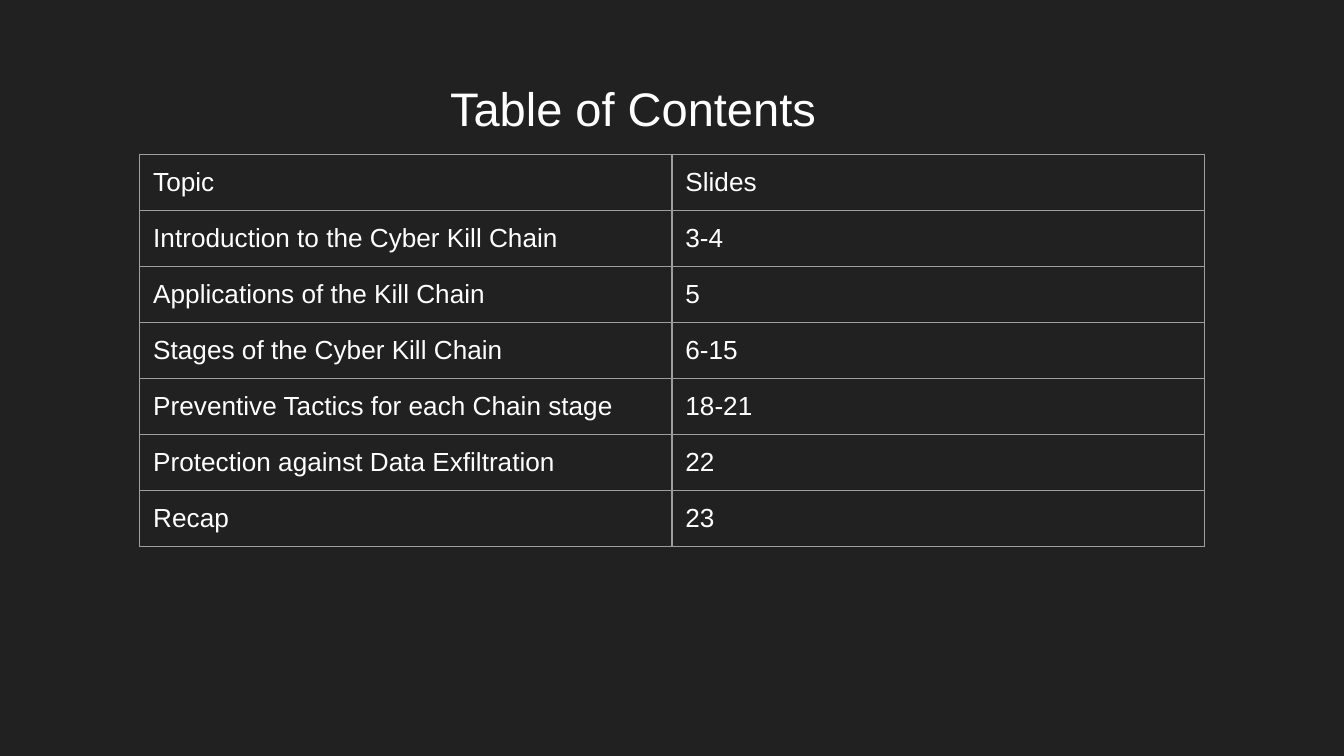
from lxml.etree import SubElement
from pptx import Presentation
from pptx.dml.color import RGBColor
from pptx.enum.text import MSO_ANCHOR
from pptx.oxml.ns import qn
from pptx.util import Inches, Pt

WIDTH = 10
HEIGHT = WIDTH * 9 / 16
MARGIN = Inches(0.1)
BACKGROUND, TEXT, BORDER = "212121", "FFFFFF", "9E9E9E"
COLUMN_WIDTH, ROW_HEIGHT = 3.96, 0.38
CONTENTS = [
    ("Topic", "Slides"),
    ("Introduction to the Cyber Kill Chain", "3-4"),
    ("Applications of the Kill Chain", "5"),
    ("Stages of the Cyber Kill Chain", "6-15"),
    ("Preventive Tactics for each Chain stage", "18-21"),
    ("Protection against Data Exfiltration", "22"),
    ("Recap", "23"),
]


def colour(value):
    return RGBColor.from_string(value)


def set_fill(fill, value):
    fill.solid()
    fill.fore_color.rgb = colour(value)


def set_margins(holder, bottom=MARGIN):
    holder.margin_left = holder.margin_right = holder.margin_top = MARGIN
    holder.margin_bottom = bottom


def add_span(para, text, size):
    span = para.add_run()
    span.text = text
    span.font.name = "Arial"
    span.font.size = Pt(size)
    span.font.color.rgb = colour(TEXT)


def add_title(page, text):
    box = page.shapes.add_textbox(
        Inches(0.034 * WIDTH), Inches(0.087 * HEIGHT),
        Inches(0.932 * WIDTH), Inches(0.112 * HEIGHT),
    )
    frame = box.text_frame
    frame.word_wrap = True
    frame.vertical_anchor = MSO_ANCHOR.MIDDLE
    set_margins(frame)
    para = frame.paragraphs[0]
    properties = para._p.get_or_add_pPr()
    properties.set("marL", str(Inches(2.91)))
    properties.set("indent", "0")
    add_span(para, text, 25.2)


def add_borders(cell):
    properties = cell._tc.get_or_add_tcPr()
    for position, side in enumerate(("a:lnL", "a:lnR", "a:lnT", "a:lnB")):
        line = SubElement(properties, qn(side), w=str(Pt(0.75)))
        fill = SubElement(line, qn("a:solidFill"))
        SubElement(fill, qn("a:srgbClr"), val=BORDER)
        properties.insert(position, line)


def add_contents(page, rows):
    row_count, column_count = len(rows), len(rows[0])
    width = column_count * COLUMN_WIDTH
    table = page.shapes.add_table(
        row_count, column_count,
        Inches((WIDTH - width) / 2), Inches(0.204 * HEIGHT),
        Inches(width), Inches(row_count * ROW_HEIGHT),
    ).table
    table.first_row = table.horz_banding = False
    for column in table.columns:
        column.width = Inches(COLUMN_WIDTH)
    for row, texts in zip(table.rows, rows):
        row.height = Inches(ROW_HEIGHT)
        for cell, text in zip(row.cells, texts):
            set_margins(cell, bottom=Pt(6))
            cell.fill.background()
            add_borders(cell)
            add_span(cell.text_frame.paragraphs[0], text, 14)


def main():
    deck = Presentation()
    deck.slide_width, deck.slide_height = Inches(WIDTH), Inches(HEIGHT)
    page = deck.slides.add_slide(deck.slide_layouts[6])
    set_fill(page.background.fill, BACKGROUND)
    add_title(page, "Table of Contents")
    add_contents(page, CONTENTS)
    deck.save("out.pptx")


if __name__ == "__main__":
    main()
